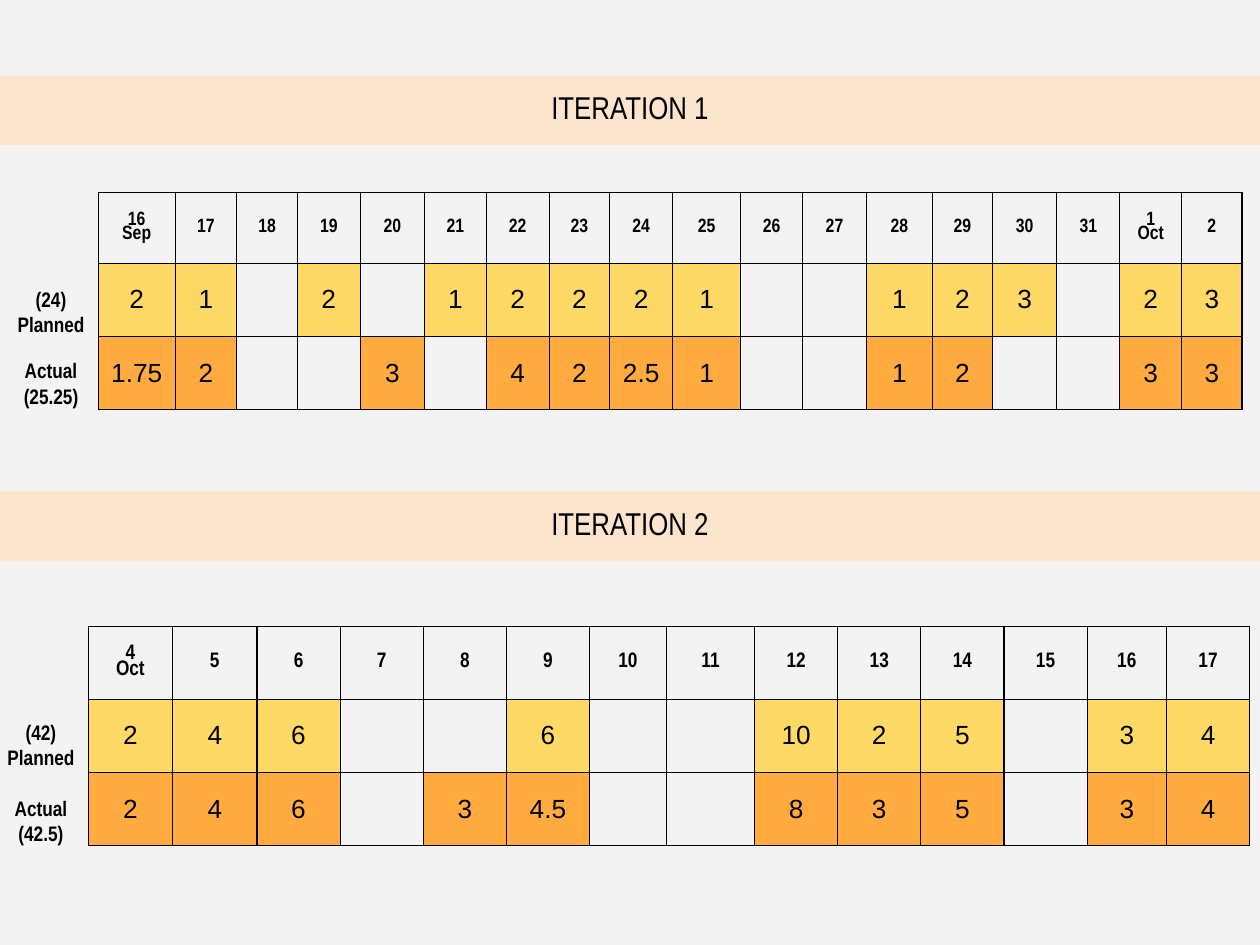
import pptx
import pptx.util
import pptx.dml.color
import pptx.enum.shapes
import pptx.enum.text
import pptx.oxml
import pptx.oxml.ns
from pptx.util import Inches

RGBColor = pptx.dml.color.RGBColor
INK = RGBColor(0x00, 0x00, 0x00)
PAPER = RGBColor(0xF3, 0xF3, 0xF3)
PEACH = RGBColor(0xFC, 0xE5, 0xCD)
GOLD = RGBColor(0xFF, 0xD9, 0x66)
AMBER = RGBColor(0xFF, 0xAB, 0x40)
NARROW = "Arial Narrow"
EDGE = (
    '<a:{side} {ns} w="9525"><a:solidFill><a:srgbClr val="{ink}"/>'
    "</a:solidFill></a:{side}>"
)


class Deck:
    def __init__(self):
        self.show = pptx.Presentation()
        self.show.slide_width = Inches(10)
        self.show.slide_height = Inches(7.5)
        self.slide = self.show.slides.add_slide(self.show.slide_layouts[5])
        fill = self.slide.background.fill
        fill.solid()
        fill.fore_color.rgb = PAPER

    def style(self, frame, size, name=NARROW, bold=False, space=1.0):
        for para in frame.paragraphs:
            para.alignment = pptx.enum.text.PP_ALIGN.CENTER
            para.line_spacing = space
            para.font.size = pptx.util.Pt(size)
            for run in para.runs:
                run.font.size = pptx.util.Pt(size)
                run.font.name = name
                run.font.bold = bold
                run.font.color.rgb = INK

    def frame(self, shape, text, size, bold=False):
        frame = shape.text_frame
        frame.text = text
        frame.word_wrap = True
        frame.auto_size = pptx.enum.text.MSO_AUTO_SIZE.NONE
        frame.vertical_anchor = pptx.enum.text.MSO_ANCHOR.TOP
        frame.margin_left = frame.margin_right = Inches(0.1)
        frame.margin_top = frame.margin_bottom = Inches(0.1)
        self.style(frame, size, bold=bold)

    def band(self, text, top, title=False):
        box = [Inches(n) for n in (0, top, 10, 0.55)]
        if title:
            shape = self.slide.shapes.title
            shape.left, shape.top, shape.width, shape.height = box
        else:
            kind = pptx.enum.shapes.MSO_SHAPE.RECTANGLE
            shape = self.slide.shapes.add_shape(kind, *box)
            shape.shadow.inherit = False
        shape.fill.solid()
        shape.fill.fore_color.rgb = PEACH
        shape.line.fill.background()
        self.frame(shape, text, 18)

    def label(self, text, left, top, high):
        box = [Inches(n) for n in (left, top, 0.75, high)]
        self.frame(self.slide.shapes.add_textbox(*box), text, 12, bold=True)

    def cell(self, cell, text, fill, **font):
        cell.text = text
        cell.vertical_anchor = pptx.enum.text.MSO_ANCHOR.MIDDLE
        cell.margin_left = cell.margin_right = Inches(0.09)
        cell.margin_top = cell.margin_bottom = Inches(0.13)
        self.style(cell.text_frame, **font)
        props = cell._tc.get_or_add_tcPr()
        for side in ("lnL", "lnR", "lnT", "lnB"):
            edge = EDGE.format(side=side, ns=pptx.oxml.ns.nsdecls("a"), ink=INK)
            props.append(pptx.oxml.parse_xml(edge))
        if fill and text:
            cell.fill.solid()
            cell.fill.fore_color.rgb = fill
        else:
            cell.fill.background()

    def grid(self, left, top, wides, highs, days, plan, real, size):
        box = [Inches(n) for n in (left, top, sum(wides), sum(highs))]
        table = self.slide.shapes.add_table(3, len(wides), *box).table
        table.first_row = False
        table.horz_banding = False
        for col, wide in zip(table.columns, wides):
            col.width = Inches(wide)
        for row, high in zip(table.rows, highs):
            row.height = Inches(high)
        head = dict(size=size, bold=True, space=0.8)
        body = dict(size=15, name="Arial")
        rows = ((days, None, head), (plan, GOLD, body), (real, AMBER, body))
        for r, (texts, fill, font) in enumerate(rows):
            for c, text in enumerate(texts):
                self.cell(table.cell(r, c), text, fill, **font)


def split(line):
    return ["" if word == "-" else word for word in line.split()]


def main():
    deck = Deck()

    deck.band("ITERATION 1", 0.6, title=True)
    deck.grid(
        0.78, 1.53,
        [0.61, 0.49, 0.48, 0.5, 0.51, 0.49, 0.5, 0.48, 0.5,
         0.54, 0.49, 0.51, 0.52, 0.48, 0.51, 0.5, 0.49, 0.48],
        [0.56, 0.58, 0.58],
        ["16\vSep", *map(str, range(17, 32)), "1\vOct", "2"],
        split("2 1 - 2 - 1 2 2 2 1 - - 1 2 3 - 2 3"),
        split("1.75 2 - - 3 - 4 2 2.5 1 - - 1 2 - - 3 3"),
        11,
    )
    deck.label("(24)\vPlanned", 0.03, 2.17, 0.81)
    deck.label("Actual\n(25.25)", 0.03, 2.74, 0.68)

    deck.band("ITERATION 2", 3.9)
    deck.grid(
        0.7, 4.97,
        [0.67, 0.67, 0.66, 0.66, 0.66, 0.66, 0.61,
         0.7, 0.66, 0.66, 0.66, 0.66, 0.63, 0.66],
        [0.58, 0.58, 0.58],
        ["4\nOct", *map(str, range(5, 18))],
        split("2 4 6 - - 6 - - 10 2 5 - 3 4"),
        split("2 4 6 - 3 4.5 - - 8 3 5 - 3 4"),
        12,
    )
    deck.label("(42)\nPlanned", -0.05, 5.61, 0.55)
    deck.label("Actual\n(42.5)", -0.05, 6.21, 0.55)

    deck.show.save("out.pptx")


if __name__ == "__main__":
    main()
